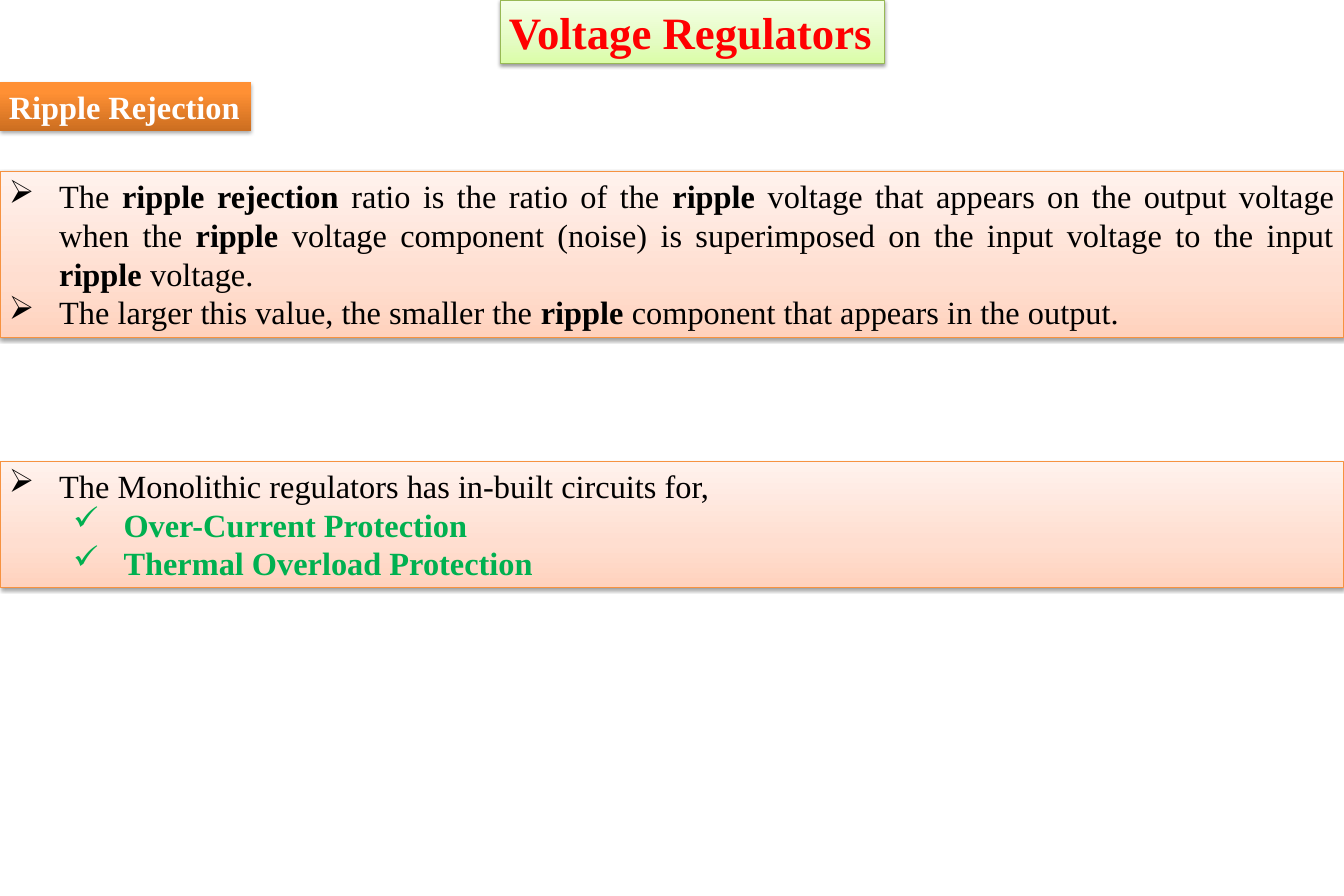
from lxml.etree import SubElement
from pptx import Presentation
from pptx.dml.color import RGBColor
from pptx.enum.shapes import MSO_SHAPE
from pptx.enum.text import MSO_ANCHOR, MSO_AUTO_SIZE, PP_ALIGN
from pptx.oxml.ns import qn
from pptx.util import Pt

COLORS = {
    "title": "FF0000", "heading": "FFFFFF", "body": "000000",
    "protection": "00B050", "shadow": "000000",
    "title_line": "98B955", "panel_line": "F69240",
}
GRADIENTS = {
    "title": [(0, "DAFDA7"), (35, "E4FCC2"), (100, "F5FFE7")],
    "heading": [(0, "CC6E20"), (80, "FF9034"), (100, "FF9136")],
    "panel": [(0, "FFD2BD"), (35, "FFDED0"), (100, "FFF2ED")],
}
FONT = "Times New Roman"
SLIDE_WIDTH, SLIDE_HEIGHT = 1080, 720
BODY_SIZE = 26
HANGING = 40.5
LEVEL_INDENTS = [40.5, 92.25]
BULLETS = ["➢", "✓"]

RIPPLE_POINTS = [
    (0, "body", [
        ("The ", False), ("ripple rejection", True),
        (" ratio is the ratio of the ", False), ("ripple", True),
        (" voltage that appears on the output voltage when the ", False),
        ("ripple", True),
        (" voltage component (noise) is superimposed on the input voltage"
         " to the input ", False),
        ("ripple", True), (" voltage. ", False)]),
    (0, "body", [
        ("The larger this value, the smaller the ", False), ("ripple", True),
        (" component that appears in the output.", False)]),
]
PROTECTION_POINTS = [
    (0, "body", [
        ("The Monolithic regulators has in-built circuits for,", False)]),
    (1, "protection", [("Over-Current Protection", True)]),
    (1, "protection", [("Thermal Overload Protection", True)]),
]


def fill_gradient(shape, stops):
    """Fill the shape with colour stops running from bottom to top."""
    shape.fill.gradient()
    shape.fill.gradient_angle = 90
    stop_list = shape._element.spPr.find(".//" + qn("a:gsLst"))
    for stop in list(stop_list):
        stop_list.remove(stop)
    for position, color in stops:
        stop = SubElement(stop_list, qn("a:gs"), pos=str(position * 1000))
        SubElement(stop, qn("a:srgbClr"), val=color)


def add_shadow(shape, distance, opacity):
    """Give the shape a soft shadow that falls straight down."""
    shape.shadow.inherit = False
    effects = shape._element.spPr.find(qn("a:effectLst"))
    shadow = SubElement(effects, qn("a:outerShdw"), blurRad=str(Pt(3.1)),
                        dist=str(Pt(distance)), dir="5400000", rotWithShape="0")
    color = SubElement(shadow, qn("a:srgbClr"), val=COLORS["shadow"])
    SubElement(color, qn("a:alpha"), val=str(opacity * 1000))


def add_box(slide, box, gradient, line=None, distance=1.6, opacity=38, wrap=True):
    """Add a shaded rectangle and return its text frame."""
    shape = slide.shapes.add_shape(MSO_SHAPE.RECTANGLE, *map(Pt, box))
    fill_gradient(shape, GRADIENTS[gradient])
    if line:
        shape.line.color.rgb = RGBColor.from_string(COLORS[line])
        shape.line.width = Pt(0.75)
    else:
        shape.line.fill.background()
    add_shadow(shape, distance, opacity)
    frame = shape.text_frame
    frame.word_wrap = wrap
    frame.auto_size = MSO_AUTO_SIZE.SHAPE_TO_FIT_TEXT
    frame.vertical_anchor = MSO_ANCHOR.TOP
    return frame


def add_run(paragraph, text, size, color, bold):
    """Append one formatted run to the paragraph."""
    run = paragraph.add_run()
    run.text = text
    run.font.name = FONT
    run.font.size = Pt(size)
    run.font.bold = bold
    run.font.color.rgb = RGBColor.from_string(COLORS[color])


def add_label(frame, text, size, color):
    """Write a single bold line at the left of the frame."""
    paragraph = frame.paragraphs[0]
    paragraph.alignment = PP_ALIGN.LEFT
    add_run(paragraph, text, size, color, True)


def add_title(slide, box):
    """Place the slide title in its green box."""
    frame = add_box(slide, box, "title", "title_line", wrap=False)
    add_label(frame, "Voltage Regulators", 36, "title")


def add_heading(slide, box):
    """Place the section heading in its orange box."""
    frame = add_box(slide, box, "heading", distance=1.8, opacity=35, wrap=False)
    add_label(frame, "Ripple Rejection", BODY_SIZE, "heading")


def add_panel(slide, box, points):
    """Place a peach panel with a bulleted list."""
    frame = add_box(slide, box, "panel", "panel_line")
    for index, (level, color, runs) in enumerate(points):
        paragraph = frame.add_paragraph() if index else frame.paragraphs[0]
        paragraph.alignment = PP_ALIGN.JUSTIFY
        paragraph.level = level
        properties = paragraph._p.get_or_add_pPr()
        properties.set("marL", str(Pt(LEVEL_INDENTS[level])))
        properties.set("indent", str(-Pt(HANGING)))
        SubElement(properties, qn("a:buChar"), char=BULLETS[level])
        for text, bold in runs:
            add_run(paragraph, text, BODY_SIZE, color, bold)


def main():
    """Build the slide and save it."""
    presentation = Presentation()
    presentation.slide_width = Pt(SLIDE_WIDTH)
    presentation.slide_height = Pt(SLIDE_HEIGHT)
    slide = presentation.slides.add_slide(presentation.slide_layouts[6])
    add_title(slide, (401.8, 0, 308.9, 51.1))
    add_heading(slide, (0, 66.2, 201.6, 38.9))
    add_panel(slide, (0, 138, SLIDE_WIDTH, 133.2), RIPPLE_POINTS)
    add_panel(slide, (0, 370.8, SLIDE_WIDTH, 101.5), PROTECTION_POINTS)
    presentation.save("out.pptx")


if __name__ == "__main__":
    main()
